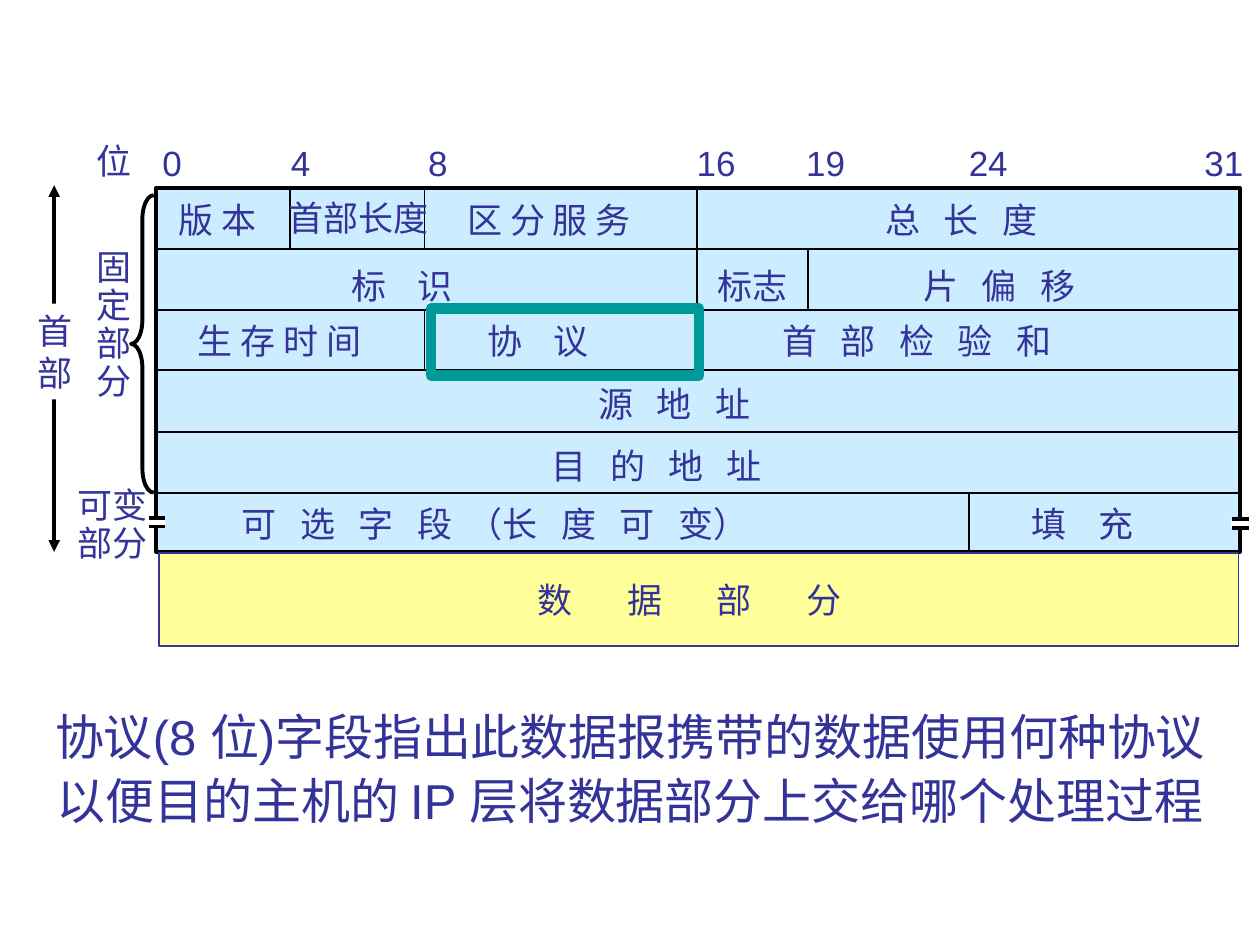
"""Build the slide on the protocol field of the IP datagram header."""
from lxml import etree
from pptx import Presentation
from pptx.dml.color import RGBColor
from pptx.enum.shapes import MSO_CONNECTOR, MSO_SHAPE
from pptx.enum.text import MSO_AUTO_SIZE, PP_ALIGN
from pptx.oxml.ns import qn
from pptx.util import Inches, Pt

STRAIGHT = MSO_CONNECTOR.STRAIGHT
RECT = MSO_SHAPE.RECTANGLE
BRACE = MSO_SHAPE.LEFT_BRACE
GROW = MSO_AUTO_SIZE.SHAPE_TO_FIT_TEXT
LEFT, CENTER = PP_ALIGN.LEFT, PP_ALIGN.CENTER
COLORS = {"ink": "333399", "black": "000000", "white": "FFFFFF",
          "head": "CCECFF", "data": "FFFF99", "mark": "009999"}
FONT = "Arial"

deck = Presentation()
deck.slide_width, deck.slide_height = Inches(10), Inches(7.5)
slide = deck.slides.add_slide(deck.slide_layouts[6])


def write(text, x, y, w, h=0.43, size=20, gap=0, space=1.0, align=LEFT, fill=None):
    box = slide.shapes.add_textbox(Inches(x), Inches(y), Inches(w), Inches(h))
    if fill:
        box.fill.solid()
        box.fill.fore_color.rgb = RGBColor.from_string(COLORS[fill])
    frame = box.text_frame
    frame.word_wrap = False
    frame.auto_size = GROW
    for i, row in enumerate(text.split("\n")):
        para = frame.add_paragraph() if i else frame.paragraphs[0]
        para.alignment, para.line_spacing = align, space
        for j, part in enumerate(row.split("|")):
            run = para.add_run()
            run.text = part
            run.font.name, run.font.size = FONT, Pt(size)
            run.font.color.rgb = RGBColor.from_string(COLORS["ink"])
            if gap and j % 2 == 0:
                para.runs[-1].font.bold = False
    if gap:
        for props in box.element.xpath(".//a:rPr[@b]"):
            props.set("spc", str(round(gap * 100)))


def block(x, y, w, h, fill=None, line=None, width=1, kind=RECT):
    shape = slide.shapes.add_shape(kind, Inches(x), Inches(y), Inches(w), Inches(h))
    shape.shadow.inherit = False
    if fill:
        shape.fill.solid()
        shape.fill.fore_color.rgb = RGBColor.from_string(COLORS[fill])
    else:
        shape.fill.background()
    if line:
        shape.line.color.rgb = RGBColor.from_string(COLORS[line])
        shape.line.width = Pt(width)
    else:
        shape.line.fill.background()
    return shape


left, right, top, low = 1.24, 9.84, 1.49, 4.38
step = 0.485
rows = [top + step * i for i in range(6)] + [low]

head = block(left, top, right - left, low - top, "head", "black", 2)
block(1.26, 4.39, 8.57, 0.74, "data", "ink")

lines = [(left, y, right, y, 1) for y in rows[1:6]]
for x, start, end in [(2.3, 0, 1), (3.37, 0, 1), (3.37, 2, 3), (5.53, 0, 3),
                      (6.41, 1, 2), (7.69, 5, 6)]:
    lines.append((x, rows[start], x, rows[end], 1))
for x, y in [(1.18, 4.11), (9.78, 4.12)]:
    block(x - 0.01, y, 0.14, 0.07, "white")
    lines += [(x, y + d, x + 0.13, y + d, 2) for d in (0, 0.07)]
lines.append((0.43, 1.47, 0.43, low, 2.25))

for i, (x1, y1, x2, y2, width) in enumerate(lines):
    line = slide.shapes.add_connector(STRAIGHT, Inches(x1), Inches(y1), Inches(x2), Inches(y2))
    line.line.color.rgb = RGBColor.from_string(COLORS["black"])
    line.line.width = Pt(width)
    props = line.element.spPr
    if i == 2:
        line.begin_connect(head, 1)
        line.end_connect(head, 3)
    if width == 2.25:
        for tag in ("a:headEnd", "a:tailEnd"):
            etree.SubElement(props.find(qn("a:ln")), qn(tag), type="triangle")
    etree.SubElement(props, qn("a:effectLst"))

for bit, x in [(0, 1.19), (4, 2.21), (8, 3.3), (16, 5.43), (19, 6.3), (24, 7.59), (31, 9.46)]:
    write(str(bit), x, 1.07, 0.35 if bit < 10 else 0.51)

for text, x, y, w, gap in [
    ("位", 0.67, 1.06, 0.48, 0),
    ("版 本", 1.32, 1.53, 0.89, 0),
    ("首部长度", 2.19, 1.51, 1.31, 0),
    ("区 分 服 务", 3.61, 1.53, 1.73, 0),
    ("总 长 度", 6.93, 1.53, 1.87, 4.45),
    ("标 识", 2.69, 2.05, 1.31, 6.7),
    ("标志", 5.6, 2.05, 0.76, 0),
    ("片 偏 移", 7.23, 2.05, 1.87, 4.45),
    ("生 存 时 间", 1.47, 2.49, 1.73, 0),
    ("协 议", 3.77, 2.49, 1.31, 6.7),
    ("首 部 检 验 和", 6.11, 2.49, 3.26, 4.45),
    ("源 地 址", 4.65, 2.99, 1.87, 4.45),
    ("目 的 地 址", 4.28, 3.48, 2.56, 4.45),
    ("可 选 字 段| （|长 度 可 |变）", 1.82, 3.94, 5.76, 4.45),
    ("填 充", 8.09, 3.94, 1.31, 6.7),
    ("数 据 部 分", 4.17, 4.54, 3.18, 13.3),
]:
    write(text, x, y, w, gap=gap)

write("首\n部", 0.2, 2.41, 0.48, 0.76, fill="white")
write("固\n定\n部\n分", 0.67, 1.94, 0.48, 1.3, space=0.9)
write("可变\n部分", 0.52, 3.83, 0.76, 0.7, space=0.9)
write("协议(8 位)字段指出此数据报携带的数据使用何种协议\n"
      "以便目的主机的 IP 层将数据部分上交给哪个处理过程",
      0.15, 5.51, 9.7, 1.13, size=28, space=1.1, align=CENTER)

block(3.42, 2.45, 2.13, 0.53, line="mark", width=6)
brace = block(1.04, 1.55, 0.18, 2.36, line="black", width=2.25, kind=BRACE)
brace.adjustments[0] = 1.05

deck.save("out.pptx")
